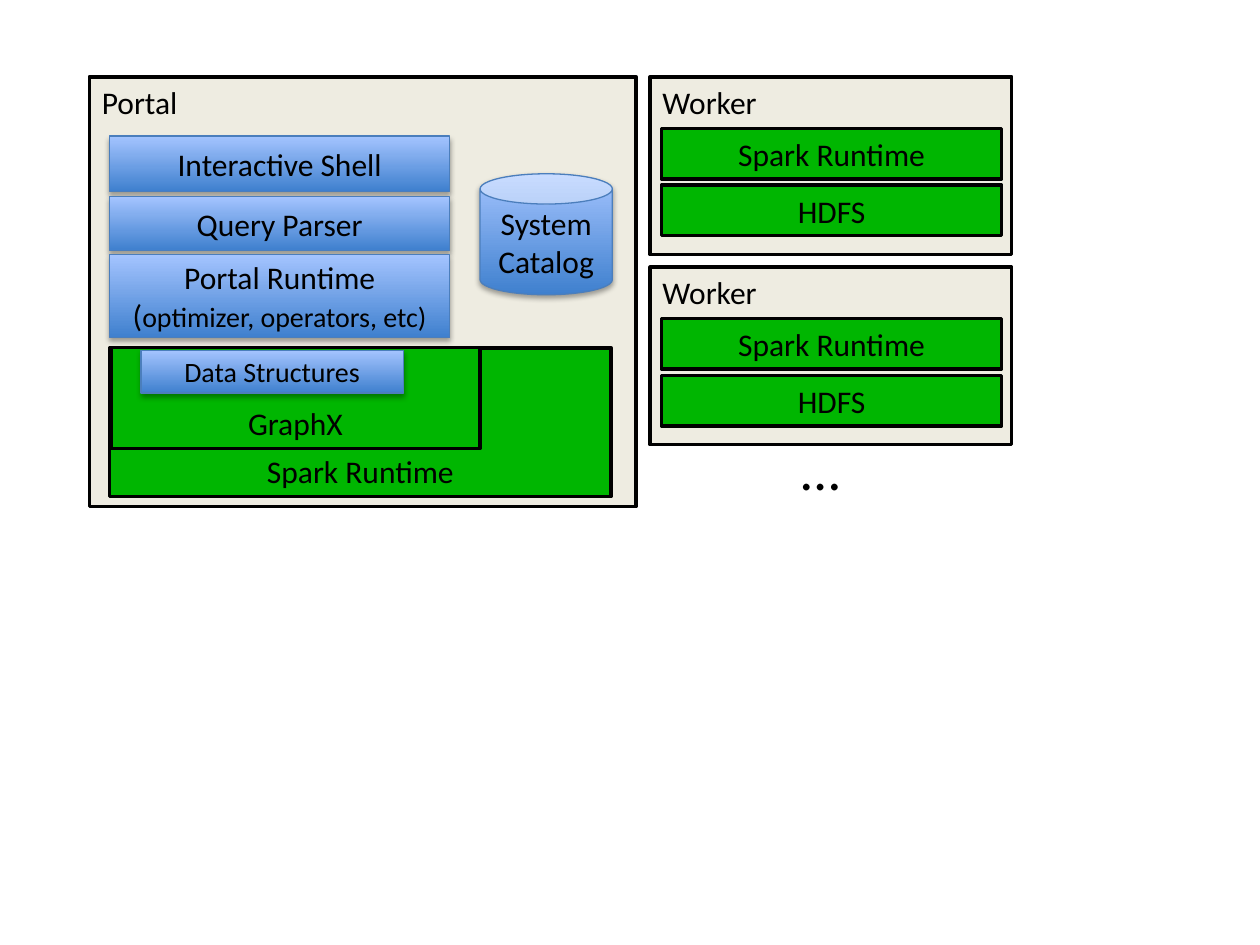
from dataclasses import dataclass

from lxml import etree
from pptx import Presentation
from pptx.dml.color import RGBColor
from pptx.enum.shapes import MSO_SHAPE
from pptx.enum.text import MSO_ANCHOR, MSO_AUTO_SIZE, PP_ALIGN
from pptx.oxml.ns import qn
from pptx.util import Inches, Pt

RECTANGLE, CAN = MSO_SHAPE.RECTANGLE, MSO_SHAPE.CAN
TOP, MIDDLE, BOTTOM = MSO_ANCHOR.TOP, MSO_ANCHOR.MIDDLE, MSO_ANCHOR.BOTTOM
LEFT, CENTER = PP_ALIGN.LEFT, PP_ALIGN.CENTER
FIT_SHAPE = MSO_AUTO_SIZE.SHAPE_TO_FIT_TEXT

COLORS = {
    "text": "000000",
    "outline": "000000",
    "panel": "EEECE1",
    "platform": "00B601",
    "module_low": "3F80CE",
    "module_high": "A4C4FF",
    "module_line": "4B7EBC",
}


@dataclass(frozen=True)
class Style:
    fills: tuple[str, ...]
    line: str
    line_width: float
    anchor: MSO_ANCHOR
    align: PP_ALIGN


@dataclass(frozen=True)
class Block:
    style: Style
    left: float
    top: float
    width: float
    height: float
    spans: tuple[tuple[str, int], ...]
    kind: MSO_SHAPE = RECTANGLE


PANEL = Style(("panel",), "outline", 2, TOP, LEFT)
PLATFORM = Style(("platform",), "outline", 2, BOTTOM, CENTER)
MODULE = Style(("module_low", "module_high"), "module_line", 0.75, MIDDLE, CENTER)

PORTAL_BLOCKS = (
    Block(PANEL, 0.71, 0.61, 4.34, 3.41, (("Portal", 18),)),
    Block(MODULE, 0.87, 1.08, 2.7, 0.44, (("Interactive Shell", 18),)),
    Block(MODULE, 0.87, 1.56, 2.7, 0.43, (("Query Parser", 18),)),
    Block(MODULE, 0.87, 2.02, 2.7, 0.66,
          (("Portal Runtime (", 18), ("optimizer, operators, etc)", 16))),
    Block(PLATFORM, 0.87, 2.76, 3.98, 1.18, (("Spark Runtime", 18),)),
    Block(PLATFORM, 0.88, 2.76, 2.93, 0.8, (("GraphX", 18),)),
    Block(MODULE, 1.12, 2.78, 2.08, 0.34, (("Data Structures", 16),)),
    Block(MODULE, 3.81, 1.38, 1.05, 0.96, (("System Catalog", 18),), CAN),
)
WORKER_TOPS = (0.61, 2.12)
WORKER_LAYERS = ("Spark Runtime", "HDFS")


def color(name: str) -> RGBColor:
    return RGBColor.from_string(COLORS[name])


def apply_format(target, values: dict) -> None:
    for name, value in values.items():
        setattr(target, name, value)


def write_spans(para, spans: tuple[tuple[str, int], ...]) -> None:
    for text, size in spans:
        span = para.add_run()
        span.text = text
        apply_format(span.font, {"name": "Calibri", "size": Pt(size)})
        span.font.color.rgb = color("text")


def add_shadow(shape) -> None:
    effects = shape._element.spPr.find(qn("a:effectLst"))
    shadow = etree.SubElement(
        effects, qn("a:outerShdw"), blurRad=str(Pt(3.1)), dist=str(Pt(1.8)),
        dir="5400000", rotWithShape="0")
    tint = etree.SubElement(shadow, qn("a:srgbClr"), val="000000")
    etree.SubElement(tint, qn("a:alpha"), val="35000")


def paint(shape, style: Style) -> None:
    shape.shadow.inherit = False
    if len(style.fills) == 1:
        shape.fill.solid()
        shape.fill.fore_color.rgb = color(style.fills[0])
    else:
        shape.fill.gradient()
        shape.fill.gradient_angle = 90
        for stop, name in zip(shape.fill.gradient_stops, style.fills):
            stop.color.rgb = color(name)
        add_shadow(shape)
    shape.line.color.rgb = color(style.line)
    shape.line.width = Pt(style.line_width)


def add_block(slide, block: Block) -> None:
    shape = slide.shapes.add_shape(
        block.kind, Inches(block.left), Inches(block.top),
        Inches(block.width), Inches(block.height))
    paint(shape, block.style)
    apply_format(shape.text_frame,
                 {"word_wrap": True, "vertical_anchor": block.style.anchor})
    para = shape.text_frame.paragraphs[0]
    para.alignment = block.style.align
    write_spans(para, block.spans)


def add_worker(slide, top: float) -> None:
    add_block(slide, Block(PANEL, 5.16, top, 2.87, 1.41, (("Worker", 18),)))
    for index, layer in enumerate(WORKER_LAYERS):
        layer_top = top + 0.41 + index * 0.45
        add_block(slide, Block(PLATFORM, 5.25, layer_top, 2.7, 0.4, ((layer, 18),)))


def add_ellipsis(slide) -> None:
    box = slide.shapes.add_textbox(
        Inches(6.26), Inches(3.4), Inches(0.51), Inches(0.64))
    apply_format(box.text_frame, {"word_wrap": False, "auto_size": FIT_SHAPE})
    write_spans(box.text_frame.paragraphs[0], (("…", 32),))


def main() -> None:
    deck = Presentation()
    apply_format(deck, {"slide_width": Inches(10), "slide_height": Inches(7.5)})
    slide = deck.slides.add_slide(deck.slide_layouts[6])
    for block in PORTAL_BLOCKS:
        add_block(slide, block)
    for top in WORKER_TOPS:
        add_worker(slide, top)
    add_ellipsis(slide)
    deck.save("out.pptx")


if __name__ == "__main__":
    main()
